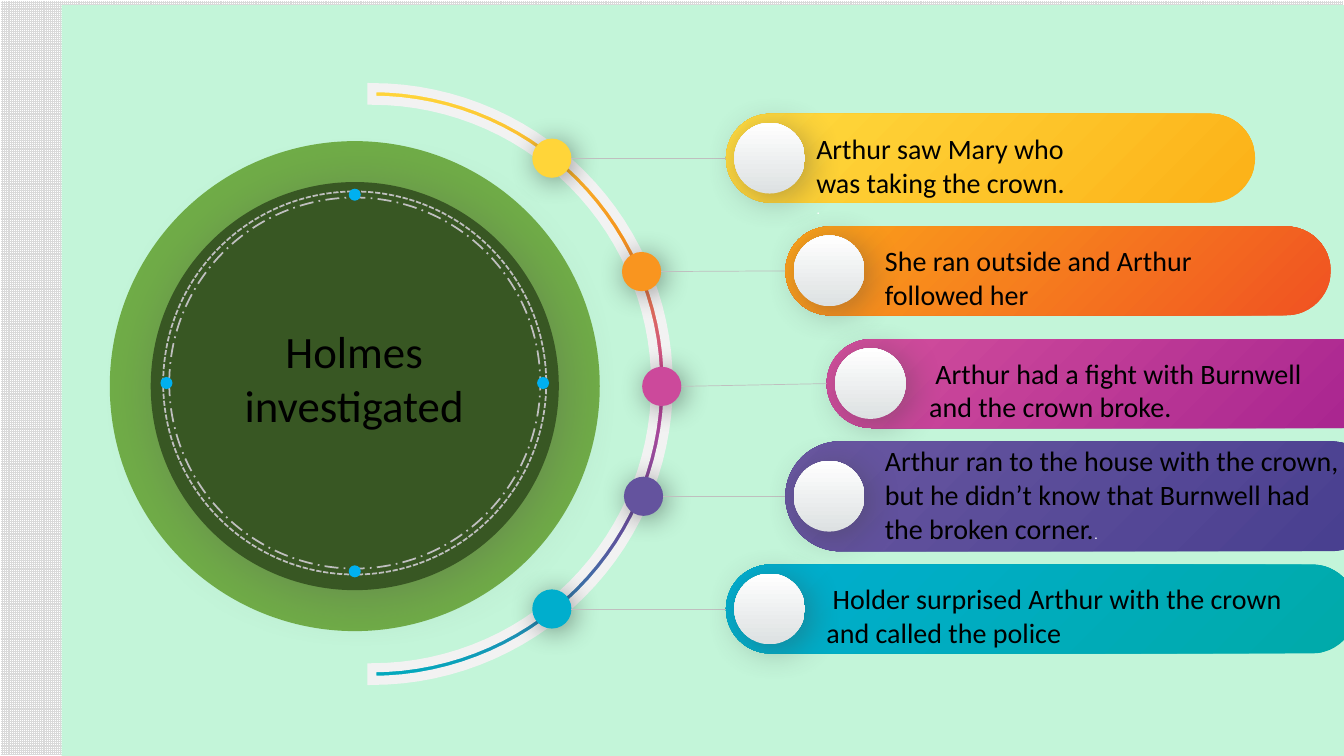
from math import cos, pi, sin

from lxml.etree import SubElement
from pptx import Presentation
from pptx.dml.color import RGBColor
from pptx.enum.dml import MSO_LINE as DASH, MSO_PATTERN as PATTERN
from pptx.enum.shapes import MSO_CONNECTOR as CONN, MSO_SHAPE as SHAPE
from pptx.enum.text import MSO_ANCHOR as ANCHOR, PP_ALIGN as ALIGN
from pptx.oxml.ns import qn
from pptx.util import Pt

FIRST_ROW, ROW_STEP = 113, 80.5
PILL_HEIGHT, TALL_PILL_HEIGHT = 63.5, 78.5
NODE_SIZE, BALL_SIZE = 28, 50.5
HUB_X, HUB_Y, DASHED_Y = 253.4, 275.8, 273.6

# node centre, node colour, pill left and width, pill gradient, text left, width, rise, indent, text, white dot
ROWS = [
    ((394.2, 113), "FFD539", (518.5, 378), ("FCB117", "FFDB3F"), (576, 205, 22.5, 0),
     "Arthur saw Mary who was taking the crown.\v", True),
    ((458.3, 194), "F9951F", (561, 389.5), ("F05222", "FBA31A"), (625, 295, 23, 0),
     "She ran outside and Arthur followed her", False),
    ((472.7, 276), "CC499B", (590.5, 409.5), ("A6228F", "D3509D"), (656.6, 299.5, 23, 4.5),
     "Arthur had a fight with Burnwell and the crown broke.", False),
    ((459.7, 354.5), "64539E", (561, 428.5), ("473E8F", "6957A1"), (625, 349, 41, 0),
     "Arthur ran to the house with the crown, but he didn’t know that Burnwell had "
     "the broken corner.", True),
    ((394.2, 435), "00AECD", (518.5, 450.5), ("00AAA9", "00AED0"), (583.2, 372, 23, 4.5),
     "Holder surprised Arthur with the crown and called the police", False),
]


def rgb(color):
    return RGBColor.from_string(color)


def solid(sp, color):
    sp.fill.solid()
    sp.fill.fore_color.rgb = rgb(color)


def gradient(sp, colors, angle):
    sp.fill.gradient()
    sp.fill.gradient_angle = 360 - angle
    stops = next(sp._element.iter(qn("a:gsLst")))
    for stop in list(stops):
        stops.remove(stop)
    for i, color in enumerate(colors):
        stop = SubElement(stops, qn("a:gs"), pos=str(100000 * i // (len(colors) - 1)))
        SubElement(stop, qn("a:srgbClr"), val=color)


def shadow(sp, color, blur, dist):
    effects = next(sp._element.iter(qn("a:effectLst")))
    outer = SubElement(effects, qn("a:outerShdw"), blurRad=str(Pt(blur)), dist=str(Pt(dist)),
                       dir="2700000", algn="tl", rotWithShape="0")
    clr = SubElement(outer, qn("a:srgbClr"), val=color)
    SubElement(clr, qn("a:alpha"), val="40000")


def add_shape(s, kind, x, y, w, h):
    sp = s.shapes.add_shape(kind, Pt(x), Pt(y), Pt(w), Pt(h))
    sp.shadow.inherit = False
    sp.line.fill.background()
    return sp


def add_circle(s, cx, cy, size, color=None):
    sp = add_shape(s, SHAPE.OVAL, cx - size / 2, cy - size / 2, size, size)
    if color:
        solid(sp, color)
    else:
        sp.fill.background()
    return sp


def add_dashed_circle(s, size, dash):
    sp = add_circle(s, HUB_X, DASHED_Y, size)
    sp.line.color.rgb = rgb("BFBFBF")
    sp.line.width = Pt(1.25)
    sp.line.dash_style = dash


def add_link(s, x1, y1, x2, y2):
    cn = s.shapes.add_connector(CONN.STRAIGHT, Pt(x1), Pt(y1), Pt(x2), Pt(y2))
    cn.line.color.rgb = rgb("BFBFBF")
    cn.line.width = Pt(0.5)
    SubElement(cn._element.spPr, qn("a:effectLst"))


def add_half_ring(s, cx, cy, outer, inner, steps=60):
    angles = [pi * i / steps - pi / 2 for i in range(steps + 1)]
    arc = [(outer, a) for a in angles] + [(inner, a) for a in reversed(angles)]
    points = [(Pt(cx + r * cos(a)), Pt(cy + r * sin(a))) for r, a in arc]
    builder = s.shapes.build_freeform(*points[0])
    builder.add_line_segments(points[1:], close=True)
    sp = builder.convert_to_shape()
    sp.shadow.inherit = False
    gradient(sp, ["FFD63A", "F4941D", "C74399", "60509C", "00ACBE"], 90)
    sp.line.color.rgb = rgb("F2F2F2")
    sp.line.width = Pt(6.5)
    SubElement(next(sp._element.iter(qn("a:ln"))), qn("a:miter"), lim="800000")


def style_run(r, size, color, font):
    r.font.size = Pt(size)
    r.font.name = font
    r.font.color.rgb = rgb(color)


def add_text(s, x, y, w, h, text, indent, dot):
    tf = s.shapes.add_textbox(Pt(x), Pt(y), Pt(w), Pt(h)).text_frame
    tf.word_wrap = True
    p = tf.paragraphs[0]
    p.text = text
    p._p.get_or_add_pPr().set("indent", str(Pt(indent)))
    style_run(p.runs[0], 20, "000000", "Calibri")
    if dot:
        r = p.add_run()
        r.text = "."
        style_run(r, 11, "FFFFFF", "Roboto Condensed")


def add_row(s, cy, node, color, pill, colors, box, text, dot):
    left, width = pill
    x, w, rise, indent = box
    height = TALL_PILL_HEIGHT if rise > 40 else PILL_HEIGHT
    sp = add_shape(s, SHAPE.ROUNDED_RECTANGLE, left, cy - height / 2, width, height)
    sp.adjustments[0] = 0.5
    gradient(sp, colors, 225)
    shadow(add_circle(s, *node, NODE_SIZE, color), "000000", 20, 3)
    add_link(s, node[0] + NODE_SIZE / 2, node[1], left, cy)
    ball = add_circle(s, left + 6 + BALL_SIZE / 2, cy, BALL_SIZE)
    gradient(ball, ["DDE1E2", "FFFFFF"], 270)
    shadow(ball, "404040", 26, 5)
    add_text(s, x, cy - rise, w, 69, text, indent, dot)


def add_title(s, text):
    title = s.shapes.title
    title.left, title.top, title.width, title.height = Pt(162), Pt(227.5), Pt(182), Pt(85)
    tf = title.text_frame
    tf.text = text
    tf.word_wrap = True
    tf.vertical_anchor = ANCHOR.TOP
    p = tf.paragraphs[0]
    p.alignment = ALIGN.CENTER
    style_run(p.runs[0], 32, "000000", "Calibri")
    title._element.getparent().append(title._element)


def add_backdrop(s):
    solid(s.background, "E2F0D9")
    sp = add_shape(s, SHAPE.RECTANGLE, 0, 0, 960, 540)
    sp.fill.patterned()
    sp.fill.pattern = PATTERN.SMALL_GRID
    sp.fill.fore_color.rgb = rgb("D9D9D9")
    sp.fill.back_color.rgb = rgb("FFFFFF")
    sp.line.color.rgb = rgb("FFFFFF")
    sp.line.width = Pt(1)
    solid(add_shape(s, SHAPE.RECTANGLE, 44, 3.6, 960, 540), "C3F5D9")


def add_hub(s):
    add_circle(s, HUB_X, HUB_Y, 350, "70AD47")
    shadow(add_circle(s, HUB_X, HUB_Y, 291.5, "385723"), "595959", 40, 6)
    add_dashed_circle(s, 273.6, DASH.SQUARE_DOT)
    add_dashed_circle(s, 265, DASH.LONG_DASH_DOT)
    for dx, dy in [(0, -1), (0, 1), (1, 0), (-1, 0)]:
        add_circle(s, HUB_X + 134.5 * dx, DASHED_Y + 134.5 * dy, 8.6, "00B0F0")


def main():
    prs = Presentation()
    prs.slide_width, prs.slide_height = Pt(960), Pt(540)
    s = prs.slides.add_slide(prs.slide_layouts[5])
    add_backdrop(s)
    add_hub(s)
    add_half_ring(s, 265.7, 274.3, 211.7, 202.7)
    for i, row in enumerate(ROWS):
        add_row(s, FIRST_ROW + ROW_STEP * i, *row)
    add_title(s, "Holmes investigated")
    prs.save("out.pptx")


if __name__ == "__main__":
    main()
